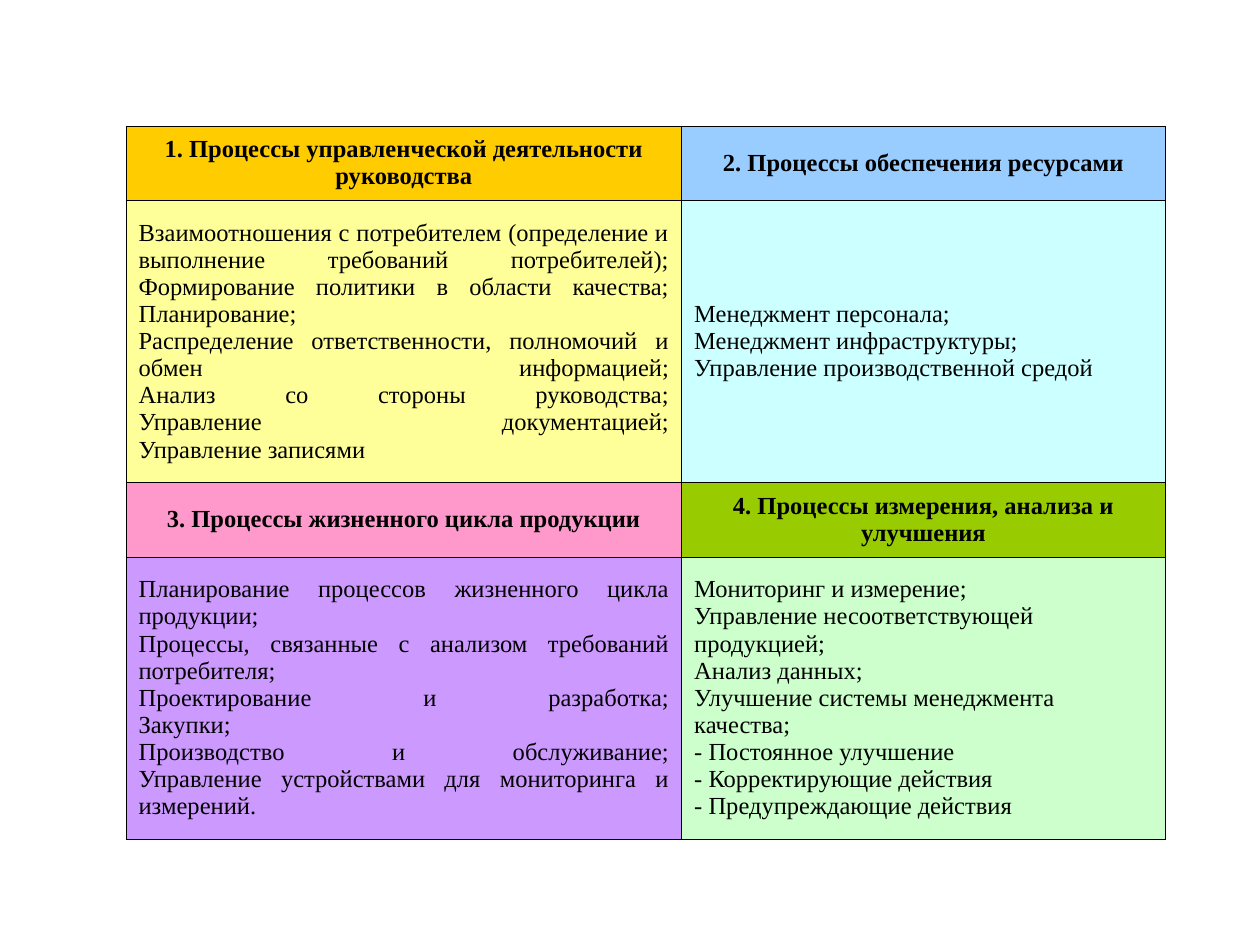
from copy import deepcopy
from dataclasses import dataclass

from pptx import Presentation
from pptx.dml.color import RGBColor
from pptx.enum.text import MSO_ANCHOR, PP_ALIGN
from pptx.oxml import parse_xml
from pptx.oxml.ns import nsdecls, qn
from pptx.util import Inches, Pt


@dataclass(frozen=True)
class Theme:
    font: str = "Times New Roman"
    size: int = 14
    ink: str = "000000"
    border: float = 0.34


THEME = Theme()
COL_WIDTHS = (4.41, 3.84)
HEAD_HEIGHT, BODY_HEIGHT = 0.59, 2.24
BODY_ALIGNS = (PP_ALIGN.JUSTIFY, PP_ALIGN.LEFT)

GROUPS = [
    [
        ("1. Процессы управленческой деятельности руководства", "FFCC00", "FFFF99", [
            "Взаимоотношения с потребителем (определение и выполнение требований потребителей);",
            "Формирование политики в области качества;",
            "Планирование;",
            "Распределение ответственности, полномочий и обмен информацией;",
            "Анализ со стороны руководства;",
            "Управление документацией;",
            "Управление записями",
        ]),
        ("2. Процессы обеспечения ресурсами", "99CCFF", "CCFFFF", [
            "Менеджмент персонала;",
            "Менеджмент инфраструктуры;",
            "Управление производственной средой",
        ]),
    ],
    [
        ("3. Процессы жизненного цикла продукции", "FF99CC", "CC99FF", [
            "Планирование процессов жизненного цикла продукции;",
            "Процессы, связанные с анализом требований потребителя;",
            "Проектирование и разработка;",
            "Закупки;",
            "Производство и обслуживание;",
            "Управление устройствами для мониторинга и измерений.",
        ]),
        ("4. Процессы измерения, анализа и улучшения", "99CC00", "CCFFCC", [
            "Мониторинг и измерение;",
            "Управление несоответствующей продукцией;",
            "Анализ данных;",
            "Улучшение системы менеджмента качества;",
            "- Постоянное улучшение",
            "- Корректирующие действия",
            "- Предупреждающие действия",
        ]),
    ],
]


def write_text(tf, text, align=PP_ALIGN.LEFT, bold=False):
    p = tf.paragraphs[0]
    p.text = text.replace("\n", "\v")
    p.alignment = align
    for r in p.runs:
        r.font.name = THEME.font
        r.font.size = Pt(THEME.size)
        r.font.bold = bold
        r.font.color.rgb = RGBColor.from_string(THEME.ink)
    run_format = p.runs[0]._r.find(qn("a:rPr"))
    for line_break in p._p.findall(qn("a:br")):
        line_break.append(deepcopy(run_format))


def set_borders(cell):
    tc_pr = cell._tc.get_or_add_tcPr()
    for i, side in enumerate(("lnL", "lnR", "lnT", "lnB")):
        tc_pr.insert(i, parse_xml(
            f'<a:{side} {nsdecls("a")} w="{int(Pt(THEME.border))}"><a:solidFill>'
            f'<a:srgbClr val="{THEME.ink}"/></a:solidFill></a:{side}>'))


def fill_cell(cell, text, color, **text_format):
    cell.fill.solid()
    cell.fill.fore_color.rgb = RGBColor.from_string(color)
    cell.vertical_anchor = MSO_ANCHOR.MIDDLE
    set_borders(cell)
    write_text(cell.text_frame, text, **text_format)


def add_process_table(s):
    heights = (HEAD_HEIGHT, BODY_HEIGHT) * len(GROUPS)
    frame = s.shapes.add_table(len(heights), len(COL_WIDTHS), Inches(1), Inches(1),
                               Inches(sum(COL_WIDTHS)), Inches(sum(heights)))
    table = frame.table
    table.first_row = table.horz_banding = False
    for column, width in zip(table.columns, COL_WIDTHS):
        column.width = Inches(width)
    for row, height in zip(table.rows, heights):
        row.height = Inches(height)
    for i, group in enumerate(GROUPS):
        for col, (title, head_color, body_color, items) in enumerate(group):
            fill_cell(table.cell(2 * i, col), title, head_color,
                      align=PP_ALIGN.CENTER, bold=True)
            fill_cell(table.cell(2 * i + 1, col), "\n".join(items), body_color,
                      align=BODY_ALIGNS[col])


def main():
    prs = Presentation()
    prs.slide_width, prs.slide_height = Inches(10), Inches(7.5)
    s = prs.slides.add_slide(prs.slide_layouts[6])
    add_process_table(s)
    prs.save("out.pptx")


if __name__ == "__main__":
    main()
